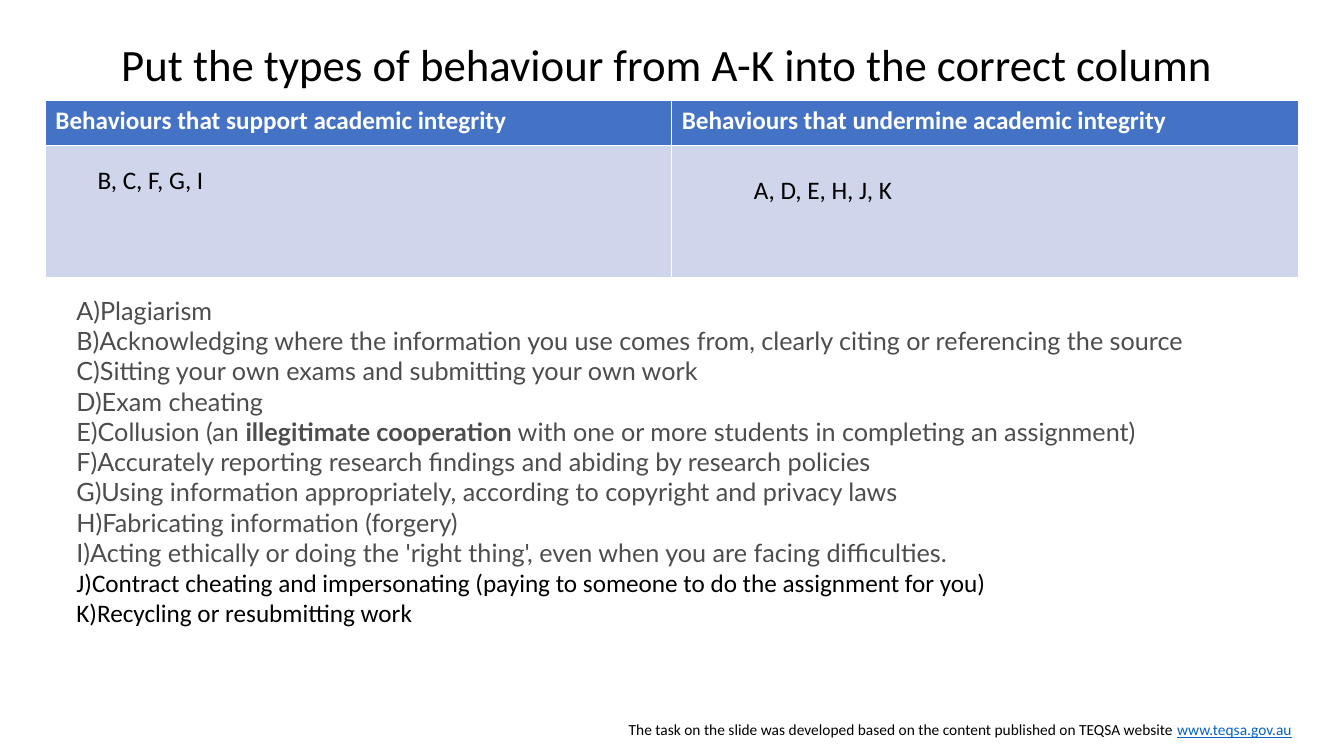
from pptx import Presentation
from pptx.dml.color import RGBColor
from pptx.enum.text import MSO_ANCHOR, PP_ALIGN
from pptx.util import Pt

BLACK = RGBColor(0x00, 0x00, 0x00)
WHITE = RGBColor(0xFF, 0xFF, 0xFF)
GREY = RGBColor(0x4D, 0x4D, 0x4D)
BLUE = RGBColor(0x44, 0x72, 0xC4)
PALE = RGBColor(0xCF, 0xD5, 0xEA)
LINK = RGBColor(0x05, 0x63, 0xC1)

TITLE = "Put the types of behaviour from A-K into the correct column"
HEADS = ["Behaviours that support academic integrity",
         "Behaviours that undermine academic integrity"]
# Text, left and top of each answer within the table
ANSWERS = [("B, C, F, G, I", 30.2, 41.8), ("A, D, E, H, J, K", 499, 49)]
STRONG = "illegitimate cooperation"
ITEMS = [
    "A)Plagiarism",
    "B)Acknowledging where the information you use comes from, clearly citing or referencing the source",
    "C)Sitting your own exams and submitting your own work",
    "D)Exam cheating",
    f"E)Collusion (an {STRONG} with one or more students in completing an assignment)",
    "F)Accurately reporting research findings and abiding by research policies",
    "G)Using information appropriately, according to copyright and privacy laws",
    "H)Fabricating information (forgery)",
    "I)Acting ethically or doing the 'right thing', even when you are facing difficulties.",
    "J)Contract cheating and impersonating (paying to someone to do the assignment for you)",
    "K)Recycling or resubmitting work",
]
PLAIN = ("J)", "K)")
CREDIT = "The task on the slide was developed based on the content published on TEQSA website "
SITE = "www.teqsa.gov.au"


def style(run, size=18, color=BLACK, face="Calibri", bold=False):
    font = run.font
    font.size, font.name, font.bold = Pt(size), face, bold
    font.color.rgb = color


def add_box(slide, left, top, width, height):
    """Add a wrapping text box and return its frame."""
    box = slide.shapes.add_textbox(Pt(left), Pt(top), Pt(width), Pt(height))
    box.text_frame.word_wrap = True
    return box.text_frame


def add_title(slide, left, top, width, height):
    frame = add_box(slide, left, top, width, height)
    frame.vertical_anchor = MSO_ANCHOR.MIDDLE
    frame.text = TITLE
    line = frame.paragraphs[0]
    line.alignment = PP_ALIGN.CENTER
    line.line_spacing = 0.9
    style(line.runs[0], 32)


def add_grid(slide, left, top, width, height):
    """Add the two-column table with the answers laid over it."""
    grid = slide.shapes.add_table(2, len(HEADS), Pt(left), Pt(top), Pt(width), Pt(height)).table
    head = 31.7
    grid.rows[0].height, grid.rows[1].height = Pt(head), Pt(height - head)
    for col, text in enumerate(HEADS):
        cell = grid.cell(0, col)
        cell.text = text
        style(cell.text_frame.paragraphs[0].runs[0], color=WHITE, bold=True)
        for row, fill in enumerate((BLUE, PALE)):
            part = grid.cell(row, col).fill
            part.solid()
            part.fore_color.rgb = fill
    for text, right, down in ANSWERS:
        frame = add_box(slide, left + right, top + down, 210, 29)
        frame.text = text
        style(frame.paragraphs[0].runs[0])


def add_list(slide, left, top, width, height):
    frame = add_box(slide, left, top, width, height)
    frame.text = "\n".join(ITEMS)
    for line in frame.paragraphs:
        text = line.text
        look = {} if text.startswith(PLAIN) else {"color": GREY, "face": "Lato"}
        start, strong, end = text.partition(STRONG)
        line.runs[0].text = start
        for rest in filter(None, (strong, end)):
            line.add_run().text = rest
        for run in line.runs:
            style(run, bold=run.text == STRONG, **look)


def add_credit(slide, left, top, width, height):
    frame = add_box(slide, left, top, width, height)
    frame.text = CREDIT
    line = frame.paragraphs[0]
    style(line.runs[0], 11)
    site = line.add_run()
    site.text = SITE
    style(site, 11, LINK)
    site.font.underline = True


def main():
    deck = Presentation()
    deck.slide_width, deck.slide_height = Pt(960), Pt(540)
    slide = deck.slides.add_slide(deck.slide_layouts[6])
    add_title(slide, 62.6, 8.6, 828, 79.2)
    add_grid(slide, 32.4, 72, 895, 126)
    add_list(slide, 47.5, 207.4, 859, 247)
    add_credit(slide, 442, 511.2, 518, 28.8)
    deck.save("out.pptx")


if __name__ == "__main__":
    main()
